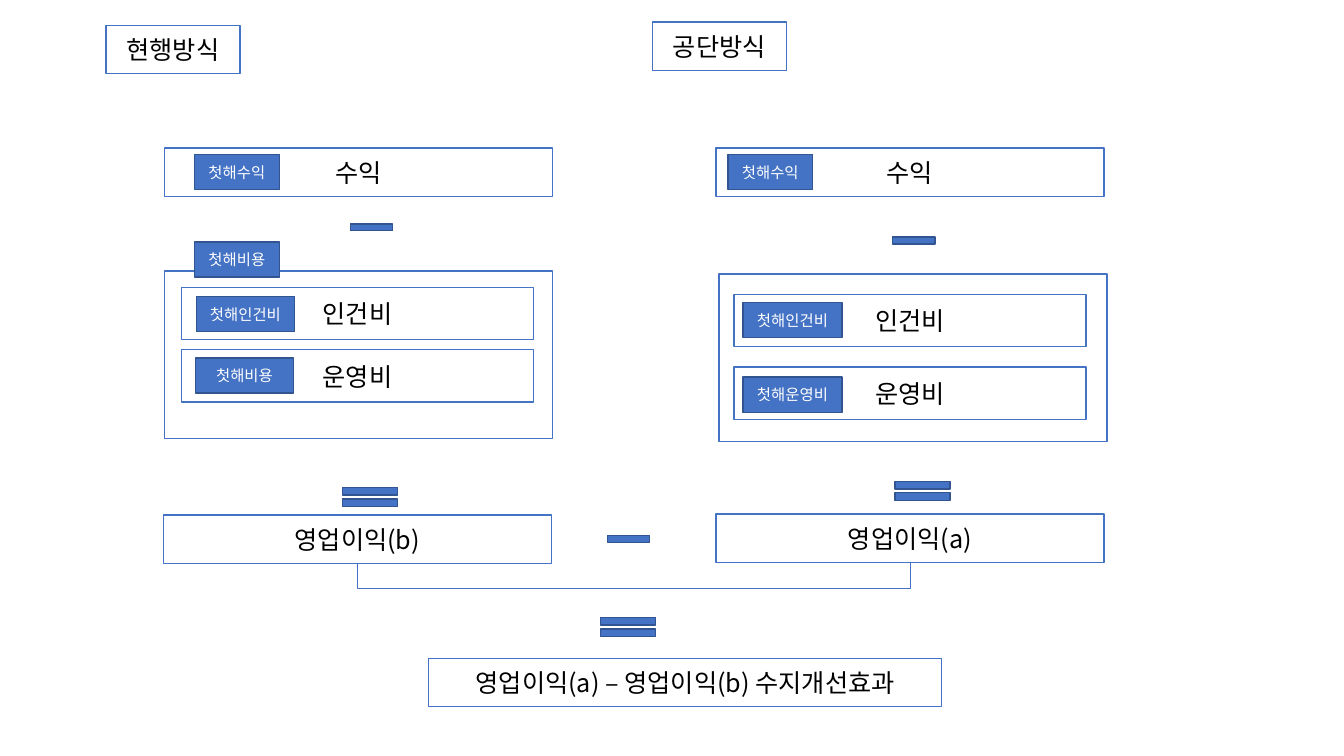
from dataclasses import dataclass

from lxml import etree
from pptx import Presentation
from pptx.dml.color import RGBColor
from pptx.enum.shapes import MSO_CONNECTOR, MSO_SHAPE as Shape
from pptx.enum.text import MSO_ANCHOR, PP_ALIGN
from pptx.oxml.ns import qn
from pptx.util import Emu, Pt

EMU_PER_PX = 9144  # 100 px to the inch


@dataclass(frozen=True)
class Theme:
    font: str = "Noto Sans CJK KR"
    blue: RGBColor = RGBColor(0x44, 0x72, 0xC4)
    dark_blue: RGBColor = RGBColor(0x32, 0x54, 0x91)
    white: RGBColor = RGBColor(0xFF, 0xFF, 0xFF)
    black: RGBColor = RGBColor(0, 0, 0)
    box_size: int = 18
    badge_size: int = 11
    outline: float = 1
    bracket: float = 0.5


THEME = Theme()


def px(length):
    return Emu(length * EMU_PER_PX)


def add_label(shape, text, size, color):
    frame = shape.text_frame
    frame.word_wrap = True
    frame.margin_left = frame.margin_right = 0
    frame.vertical_anchor = MSO_ANCHOR.MIDDLE
    paragraph = frame.paragraphs[0]
    paragraph.alignment = PP_ALIGN.CENTER
    run = paragraph.add_run()
    run.text = text
    run.font.size = Pt(size)
    run.font.name = THEME.font
    run.font.color.rgb = color
    east_asian = etree.SubElement(run.font._element, qn("a:ea"))
    east_asian.set("typeface", THEME.font)


def add_figure(slide, kind, left, top, width, height, fill, line):
    shape = slide.shapes.add_shape(kind, px(left), px(top), px(width), px(height))
    shape.shadow.inherit = False
    shape.fill.solid()
    shape.fill.fore_color.rgb = fill
    shape.line.color.rgb = line
    shape.line.width = Pt(THEME.outline)
    return shape


def add_box(slide, left, top, width, height, text=""):
    box = add_figure(slide, Shape.RECTANGLE, left, top, width, height,
                     THEME.white, THEME.blue)
    if text:
        add_label(box, text, THEME.box_size, THEME.black)
    return box


def add_badge(slide, left, top, width, text):
    badge = add_figure(slide, Shape.RECTANGLE, left, top, width, 35,
                       THEME.blue, THEME.dark_blue)
    add_label(badge, text, THEME.badge_size, THEME.white)


def add_minus(slide, left, top):
    add_figure(slide, Shape.MATH_MINUS, left, top, 57, 29, THEME.blue, THEME.dark_blue)


def add_equal(slide, left, top):
    add_figure(slide, Shape.MATH_EQUAL, left, top, 74, 32, THEME.blue, THEME.dark_blue)


def add_bracket(slide, left_box, right_box, drop):
    """Join the bottoms of two boxes with an elbow that dips below them."""
    bracket = slide.shapes.add_connector(MSO_CONNECTOR.ELBOW, 0, 0, 0, 0)
    bracket.begin_connect(left_box, 2)
    bracket.end_connect(right_box, 2)
    span = bracket.end_x - bracket.begin_x
    rise = bracket.begin_y - bracket.end_y
    middle_x = (bracket.begin_x + bracket.end_x) // 2
    middle_y = (bracket.begin_y + bracket.end_y) // 2

    # A quarter turn with both flips makes the elbow leave downwards.
    bracket.left, bracket.top = Emu(middle_x - rise // 2), Emu(middle_y - span // 2)
    bracket.width, bracket.height = Emu(rise), Emu(span)
    properties = bracket._element.spPr
    transform = properties.find(qn("a:xfrm"))
    for name, value in (("rot", "5400000"), ("flipH", "1"), ("flipV", "1")):
        transform.set(name, value)
    adjustments = properties.find(qn("a:prstGeom")).get_or_add_avLst()
    guide = etree.SubElement(adjustments, qn("a:gd"))
    guide.set("name", "adj1")
    guide.set("fmla", f"val {-px(drop) * 100000 // rise}")

    bracket.line.color.rgb = THEME.blue
    bracket.line.width = Pt(THEME.bracket)
    etree.SubElement(properties, qn("a:effectLst"))


def add_method(slide, title, revenue, costs, cost_rows, profit):
    """Draw one column of boxes and return its profit box."""
    add_box(slide, *title[:2], 133, 48, title[2])
    add_box(slide, *revenue, 385, 48, "수익")
    add_box(slide, *costs, 385, 166)
    for left, top, text in cost_rows:
        add_box(slide, left, top, 349, 52, text)
    return add_box(slide, *profit[:2], 385, 48, profit[2])


def main():
    presentation = Presentation()
    presentation.slide_width, presentation.slide_height = px(1333), px(750)
    slide = presentation.slides.add_slide(presentation.slide_layouts[6])

    current_profit = add_method(
        slide, (105, 25, "현행방식"), (163, 147), (163, 269),
        [(180, 285, "인건비"), (180, 347, "운영비")], (162, 511, "영업이익(b)"))
    agency_profit = add_method(
        slide, (647, 22, "공단방식"), (710, 147), (713, 272),
        [(728, 292, "인건비"), (728, 364, "운영비")], (710, 510, "영업이익(a)"))

    for badge in (
        (193, 153, 84, "첫해수익"),
        (193, 240, 84, "첫해비용"),
        (195, 294, 97, "첫해인건비"),
        (194, 355, 97, "첫해비용"),
        (722, 153, 84, "첫해수익"),
        (737, 300, 98, "첫해인건비"),
        (737, 374, 98, "첫해운영비"),
    ):
        add_badge(slide, *badge)

    for position in ((340, 211), (878, 224), (595, 520)):
        add_minus(slide, *position)
    for position in ((878, 471), (330, 477), (586, 606)):
        add_equal(slide, *position)

    add_bracket(slide, current_profit, agency_profit, drop=25)
    add_box(slide, 425, 653, 509, 48, "영업이익(a) – 영업이익(b) 수지개선효과")
    presentation.save("out.pptx")


if __name__ == "__main__":
    main()
